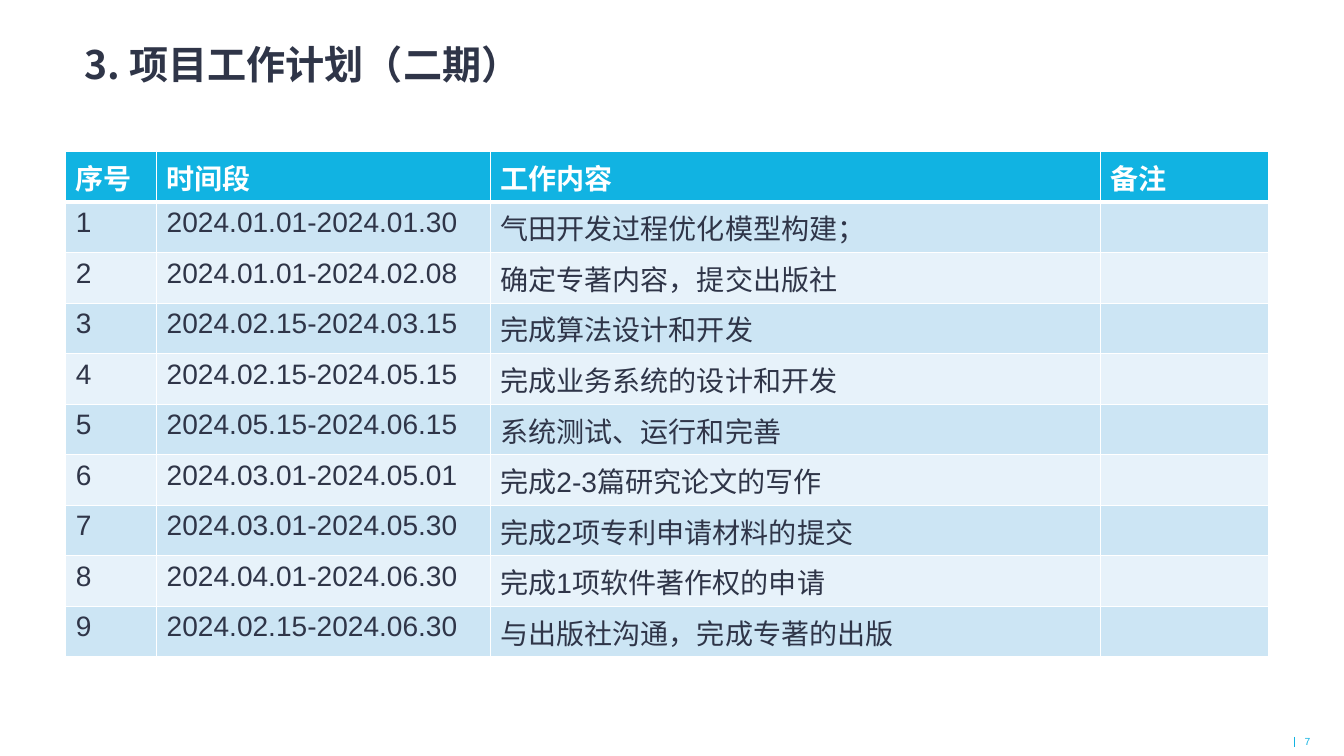
from lxml import etree
from pptx import Presentation
from pptx import util as u
from pptx.dml.color import RGBColor
from pptx.enum import shapes, text
from pptx.oxml.ns import qn

PX = 9144  # EMU per px, 100 px to the inch

WHITE, INK, CYAN = "FFFFFF", "2F3548", "11B3E2"
BANDS = ["CCE5F4", "E7F2FA"]
LATIN, CHINESE = "Arial", "Noto Sans CJK SC"

HEADER = ["序号", "时间段", "工作内容", "备注"]
TASKS = [
    ("2024.01.01-2024.01.30", "气田开发过程优化模型构建；"),
    ("2024.01.01-2024.02.08", "确定专著内容，提交出版社"),
    ("2024.02.15-2024.03.15", "完成算法设计和开发"),
    ("2024.02.15-2024.05.15", "完成业务系统的设计和开发"),
    ("2024.05.15-2024.06.15", "系统测试、运行和完善"),
    ("2024.03.01-2024.05.01", "完成2-3篇研究论文的写作"),
    ("2024.03.01-2024.05.30", "完成2项专利申请材料的提交"),
    ("2024.04.01-2024.06.30", "完成1项软件著作权的申请"),
    ("2024.02.15-2024.06.30", "与出版社沟通，完成专著的出版"),
]


def px(*lengths):
    return [u.Emu(length * PX) for length in lengths]


def rgb(color):
    return RGBColor.from_string(color)


def write(frame, words, size=20, color=INK, bold=False, font=LATIN):
    para = frame.paragraphs[0]
    para.alignment = text.PP_ALIGN.LEFT
    span = para.add_run()
    span.text = words
    span.font.size = u.Pt(size)
    span.font.bold = bold
    span.font.name = font
    span.font.color.rgb = rgb(color)
    east_asian = etree.SubElement(span.font._element, qn("a:ea"))
    east_asian.set("typeface", CHINESE)


def add_border(cell, side, points, color=WHITE):
    """Side is L, R, T or B; call in that order and before filling the cell."""
    line = etree.SubElement(cell._tc.get_or_add_tcPr(), qn(f"a:ln{side}"))
    line.set("w", str(u.Pt(points)))
    fill = etree.SubElement(line, qn("a:solidFill"))
    etree.SubElement(fill, qn("a:srgbClr")).set("val", color)


class PlanSlide:
    def __init__(self, width, height):
        self.deck = Presentation()
        self.deck.slide_width, self.deck.slide_height = px(width, height)
        self.page = self.deck.slides.add_slide(self.deck.slide_layouts[5])

    def title(self, words, left, top, width, height):
        box = self.page.shapes.title
        box.left, box.top, box.width, box.height = px(left, top, width, height)
        frame = box.text_frame
        frame.auto_size = text.MSO_AUTO_SIZE.NONE
        frame.vertical_anchor = text.MSO_ANCHOR.MIDDLE
        write(frame, words, size=27.9, bold=True, font=CHINESE)

    def table(self, rows, left, top, widths, header_height, row_height):
        heights = [header_height] + [row_height] * (len(rows) - 1)
        box = self.page.shapes.add_table(
            len(rows), len(widths), *px(left, top, sum(widths), sum(heights)))
        table = box.table
        for column, width in zip(table.columns, px(*widths)):
            column.width = width
        for row, height in zip(table.rows, px(*heights)):
            row.height = height
        for index, words in enumerate(rows):
            for cell, content in zip(table.rows[index].cells, words):
                self.cell(cell, content, index)

    def cell(self, cell, content, row):
        header = row == 0
        edges = {"L": 1, "R": 1, "T": 3 if row == 1 else 1, "B": 3 if header else 1}
        for side, points in edges.items():
            add_border(cell, side, points)
        cell.fill.solid()
        cell.fill.fore_color.rgb = rgb(CYAN if header else BANDS[(row - 1) % 2])
        if content:
            write(cell.text_frame, content, color=WHITE if header else INK, bold=header)

    def line(self, x1, y1, x2, y2, color, points):
        line = self.page.shapes.add_connector(
            shapes.MSO_CONNECTOR.STRAIGHT, *px(x1, y1, x2, y2))
        line.line.color.rgb = rgb(color)
        line.line.width = u.Pt(points)
        etree.SubElement(line._element.spPr, qn("a:effectLst"))

    def label(self, words, left, top, width, height, **style):
        box = self.page.shapes.add_textbox(*px(left, top, width, height))
        frame = box.text_frame
        frame.word_wrap = False
        frame.vertical_anchor = text.MSO_ANCHOR.MIDDLE
        frame.margin_left = frame.margin_right = 0
        frame.margin_top = frame.margin_bottom = 0
        write(frame, words, **style)


def main():
    plan = PlanSlide(1330, 748)
    plan.label("7", 1291, 728, 13, 12, size=7.3, color=CYAN)
    plan.line(1281, 729, 1281, 739, CYAN, 0.75)
    plan.title("3. 项目工作计划（二期）", 74, 33, 1042, 61)
    rows = [HEADER] + [(str(number), *task, "") for number, task in enumerate(TASKS, 1)]
    plan.table(rows, 65, 150, [90, 330, 604, 166], 50, 50)
    plan.deck.save("out.pptx")


if __name__ == "__main__":
    main()
